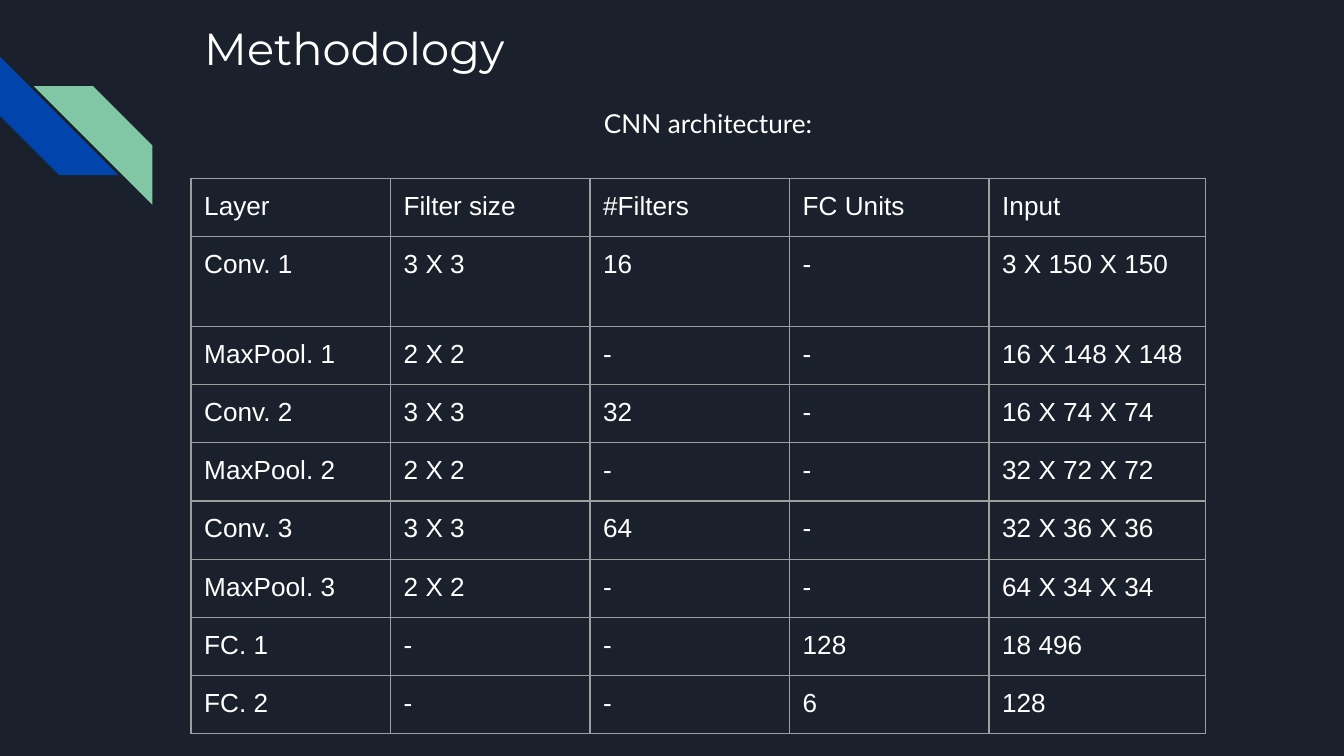
from dataclasses import dataclass

from lxml.etree import SubElement
from pptx import Presentation
from pptx.dml.color import RGBColor as RGB
from pptx.enum.shapes import MSO_SHAPE as SHAPE
from pptx.enum.text import MSO_ANCHOR as ANCHOR, PP_ALIGN as ALIGN
from pptx.oxml.ns import qn
from pptx.util import Cm, Pt


@dataclass(frozen=True)
class Theme:
    background: str = "1B212C"
    text: str = "FFFFFF"
    blue: str = "0145AC"
    green: str = "82C7A5"
    border: str = "9E9E9E"
    border_width: float = 0.75
    title_size: int = 24
    body_size: int = 14
    title_font: str = "Montserrat"
    body_font: str = "Lato"
    table_font: str = "Arial"
    inset: float = 0.25


THEME = Theme()

LAYERS = [
    ("Layer", "Filter size", "#Filters", "FC Units", "Input"),
    ("Conv. 1", "3 X 3", "16", "-", "3 X 150 X 150"),
    ("MaxPool. 1", "2 X 2", "-", "-", "16 X 148 X 148"),
    ("Conv. 2", "3 X 3", "32", "-", "16 X 74 X 74"),
    ("MaxPool. 2", "2 X 2", "-", "-", "32 X 72 X 72"),
    ("Conv. 3", "3 X 3", "64", "-", "32 X 36 X 36"),
    ("MaxPool. 3", "2 X 2", "-", "-", "64 X 34 X 34"),
    ("FC. 1", "-", "-", "128", "18 496"),
    ("FC. 2", "-", "-", "6", "128"),
]
COLUMN_WIDTHS = [3.77] * 4 + [4.1]
ROW_HEIGHTS = [1.1, 1.7] + [1.1] * 7


def write_text(tf, text, font=THEME.body_font, size=THEME.body_size, align=ALIGN.LEFT):
    tf.word_wrap = True
    p = tf.paragraphs[0]
    p.alignment = align
    r = p.add_run()
    r.text = text
    r.font.name = font
    r.font.size = Pt(size)
    r.font.color.rgb = RGB.from_string(THEME.text)


def set_insets(box):
    box.margin_left = box.margin_right = Cm(THEME.inset)
    box.margin_top = box.margin_bottom = Cm(THEME.inset)
    box.vertical_anchor = ANCHOR.TOP


def add_stripe(slide, left, top, color, rotation=0, flip=False):
    sp = slide.shapes.add_shape(
        SHAPE.DIAGONAL_STRIPE, Cm(left), Cm(top), Cm(2.24), Cm(2.24))
    sp.shadow.inherit = False
    sp.fill.solid()
    sp.fill.fore_color.rgb = RGB.from_string(color)
    sp.line.fill.background()
    sp.rotation = rotation
    if flip:
        sp.element.spPr.find(qn("a:xfrm")).set("flipH", "1")


def add_title(slide, text):
    sp = slide.shapes.title
    sp.left, sp.top, sp.width, sp.height = Cm(3.61), Cm(0.15), Cm(19.56), Cm(2.54)
    set_insets(sp.text_frame)
    write_text(sp.text_frame, text, font=THEME.title_font, size=THEME.title_size)


def add_subtitle(slide, text):
    sp = slide.shapes.add_textbox(Cm(2.54), Cm(1.78), Cm(21.69), Cm(1.12))
    set_insets(sp.text_frame)
    write_text(sp.text_frame, text, align=ALIGN.CENTER)


def set_borders(cell):
    tc_pr = cell._tc.get_or_add_tcPr()
    for side in ("lnL", "lnR", "lnT", "lnB"):
        ln = SubElement(tc_pr, qn(f"a:{side}"), w=str(Pt(THEME.border_width)))
        fill = SubElement(ln, qn("a:solidFill"))
        SubElement(fill, qn("a:srgbClr"), val=THEME.border)


def add_layer_table(slide):
    table = slide.shapes.add_table(
        len(LAYERS), len(COLUMN_WIDTHS), Cm(3.61), Cm(3.37),
        Cm(sum(COLUMN_WIDTHS)), Cm(sum(ROW_HEIGHTS))).table
    table.first_row = table.horz_banding = False
    for column, width in zip(table.columns, COLUMN_WIDTHS):
        column.width = Cm(width)
    for row, height, values in zip(table.rows, ROW_HEIGHTS, LAYERS):
        row.height = Cm(height)
        for cell, value in zip(row.cells, values):
            set_insets(cell)
            set_borders(cell)
            cell.fill.background()
            write_text(cell.text_frame, value, font=THEME.table_font)


def main():
    prs = Presentation()
    prs.slide_width, prs.slide_height = Cm(25.4), Cm(14.29)
    slide = prs.slides.add_slide(prs.slide_layouts.get_by_name("Title Only"))
    slide.background.fill.solid()
    slide.background.fill.fore_color.rgb = RGB.from_string(THEME.background)
    add_stripe(slide, 0, 1.07, THEME.blue, rotation=270)
    add_stripe(slide, 0.64, 1.63, THEME.green, flip=True)
    add_title(slide, "Methodology")
    add_subtitle(slide, "CNN architecture:")
    add_layer_table(slide)
    prs.save("out.pptx")


if __name__ == "__main__":
    main()
